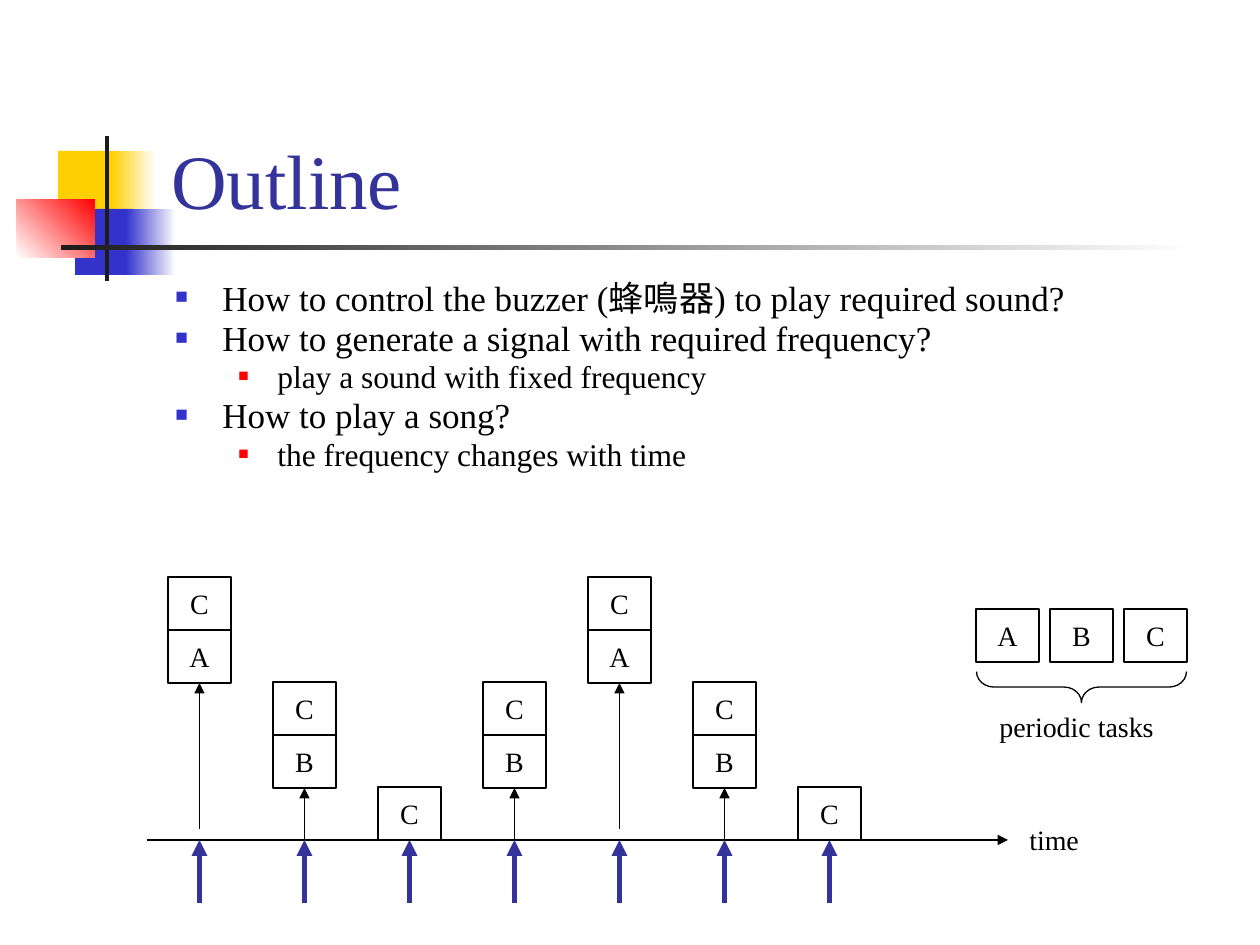
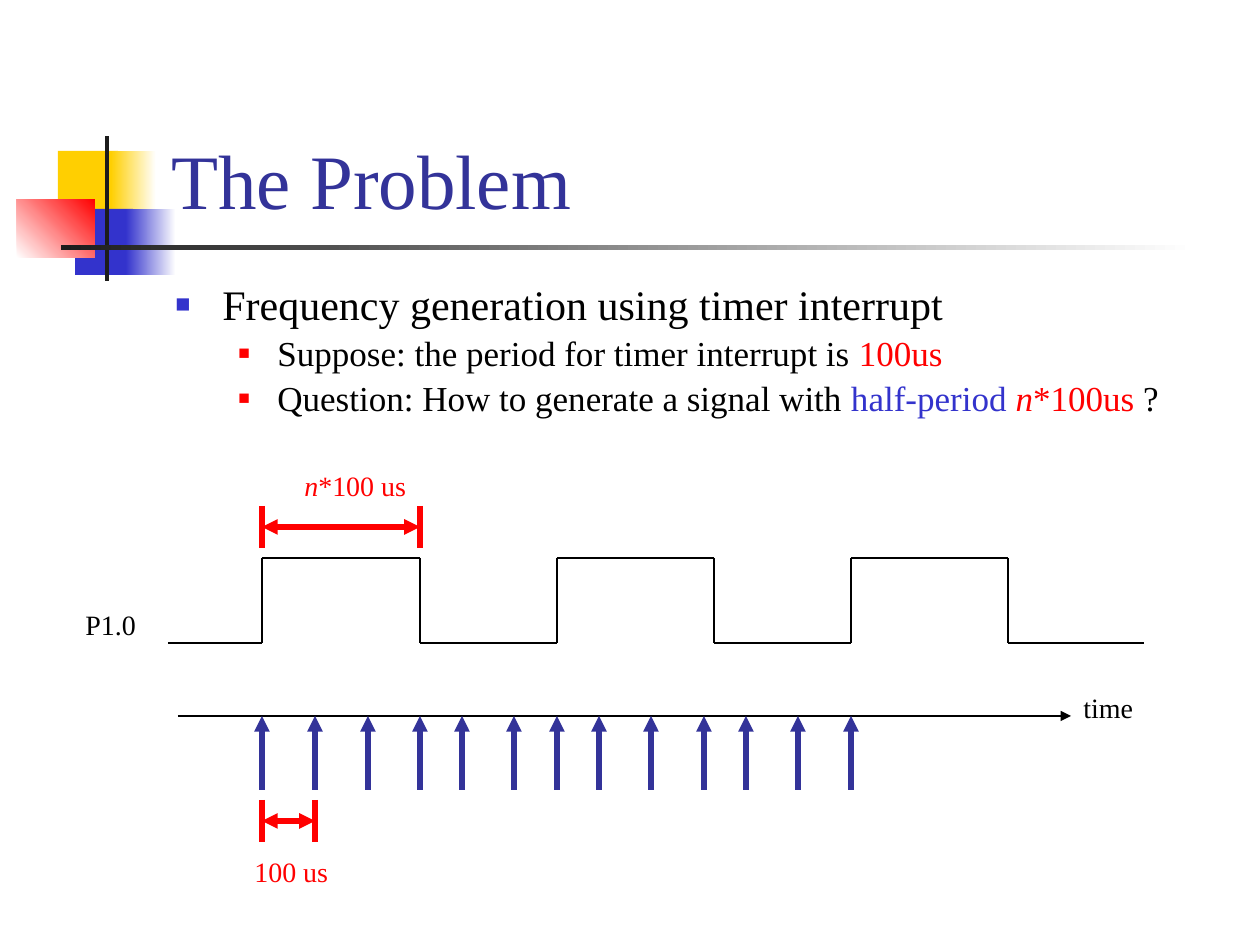
"""Build two lecture slides on periodic tasks and timer-driven frequency generation."""
from dataclasses import dataclass
from itertools import pairwise

from lxml import etree
from pptx import Presentation
from pptx.dml.color import RGBColor
from pptx.enum.shapes import MSO_CONNECTOR, MSO_SHAPE
from pptx.enum.text import MSO_ANCHOR, MSO_AUTO_SIZE, PP_ALIGN
from pptx.oxml.ns import qn
from pptx.util import Emu, Pt

RECTANGLE = MSO_SHAPE.RECTANGLE
BRACE = MSO_SHAPE.LEFT_BRACE
STRAIGHT = MSO_CONNECTOR.STRAIGHT
BOTTOM, MIDDLE = MSO_ANCHOR.BOTTOM, MSO_ANCHOR.MIDDLE
CENTER = PP_ALIGN.CENTER
GROW = MSO_AUTO_SIZE.SHAPE_TO_FIT_TEXT


@dataclass(frozen=True)
class Theme:
    font: str = "Times New Roman"
    black: str = "000000"
    white: str = "FFFFFF"
    indigo: str = "333399"
    blue: str = "3333CC"
    red: str = "FF0000"
    yellow: str = "FFCF01"
    charcoal: str = "1C1C1C"
    title_size: int = 44
    label_size: int = 16
    thin: float = 0.75
    thick: float = 3


THEME = Theme()
EMU_PER_PIXEL = 914400 / 126

DECORATION = [
    ((58, 151, 60, 66), [THEME.yellow], 0),
    ((111, 151, 45, 66), [THEME.yellow, THEME.white], 0),
    ((75, 209, 58, 66), [THEME.blue], 0),
    ((126, 209, 50, 66), [THEME.blue, THEME.white], 0),
    ((17, 199, 78, 59), [THEME.white, THEME.red], 45),
    ((105, 136, 4, 145), [THEME.charcoal], 0),
    ((61, 245, 1134, 5), [THEME.charcoal, THEME.white], 0),
]
TITLE_AREA = (159, 29, 1074, 202)
LEVELS = [
    {"margin": 47, "hang": 47, "colour": THEME.blue, "bullet": 60},
    {"margin": 102, "hang": 39, "colour": THEME.red, "bullet": 55},
]

OUTLINE = {
    "title": "Outline",
    "area": (163, 278, 1071, 289),
    "spacing": 0.8,
    "sizes": (20, 18),
    "points": [
        (0, [("How to control the buzzer (蜂鳴器) to play required sound?",)]),
        (0, [("How to generate a signal with required frequency?",)]),
        (1, [("play a sound with fixed frequency",)]),
        (0, [("How to play a song?",)]),
        (1, [("the frequency changes with time",)]),
    ],
}
PROBLEM = {
    "title": "The Problem",
    "area": (163, 278, 1071, 174),
    "spacing": 0.9,
    "sizes": (24, 20),
    "points": [
        (0, [("Frequency generation using timer interrupt",)]),
        (1, [("Suppose: the period for timer interrupt is ",), ("100us", THEME.red)]),
        (1, [("Question: How to generate a signal with ",),
             ("half-period ", THEME.blue), ("n", THEME.red, True),
             ("*100us", THEME.red), (" ?",)]),
    ],
}

SCHEDULE = ["AC", "BC", "C", "BC", "AC", "BC", "C"]
STACK_BOTTOM = {"A": 683, "B": 788, "C": 840}
STEM_START = {"A": 829, "B": 840}
FIRST_TASK, TASK_STEP = 168, 105
TASK_WIDTH, TASK_HEIGHT = 63, 53
SCHEDULE_AXIS, SCHEDULE_TICK_START = 840, 903
LEGEND = "ABC"
LEGEND_LEFT, LEGEND_TOP, LEGEND_STEP = 976, 609, 74
BRACE_AREA = (1066, 582, 31, 210)

WAVE_START, WAVE_END = 168, 1144
WAVE_EDGES = [262, 420, 557, 714, 851, 1008]
WAVE_LOW, WAVE_HIGH = 643, 558
INTERRUPTS = [262, 315, 368, 420, 462, 514, 557, 599, 651, 704, 746, 798, 851]
TIMER_AXIS, TIMER_TICK_START = 716, 790
MEASURE_HEIGHT = 42
MEASURES = [(262, 315, 800), (262, 420, 506)]

OUTLINE_LABELS = [
    ((1017, 816, 76, 47), [("time",)]),
    ((987, 703, 180, 47), [("periodic tasks",)]),
]
PROBLEM_LABELS = [
    ((1071, 684, 76, 47), [("time",)]),
    ((73, 601, 76, 47), [("P1.0",)]),
    ((242, 848, 100, 47), [("100 us", THEME.red)]),
    ((292, 462, 127, 47), [("n", THEME.red, True), ("*100 us", THEME.red)]),
]


def px(length):
    return Emu(round(length * EMU_PER_PIXEL))


def rgb(colour):
    return RGBColor.from_string(colour)


def add_spans(para, spans, size):
    for text, colour, italic in (
        (*span, *(THEME.black, False)[len(span) - 1:]) for span in spans
    ):
        span = para.add_run()
        span.text = text
        span.font.name = THEME.font
        span.font.size = Pt(size)
        span.font.color.rgb = rgb(colour)
        span.font.italic = italic


def add_text(page, area, wrap=True):
    box = page.shapes.add_textbox(*map(px, area))
    box.text_frame.word_wrap = wrap
    return box.text_frame


def add_outlined(page, kind, area):
    shape = page.shapes.add_shape(kind, *map(px, area))
    shape.shadow.inherit = False
    shape.fill.background()
    shape.line.color.rgb = rgb(THEME.black)
    shape.line.width = Pt(THEME.thin)
    return shape


def add_line(page, start, end, colour=THEME.black, width=THEME.thin, arrows=()):
    line = page.shapes.add_connector(STRAIGHT, *map(px, (*start, *end)))
    line.line.color.rgb = rgb(colour)
    line.line.width = Pt(width)
    outline = line.line._get_or_add_ln()
    for arrow in arrows:
        etree.SubElement(outline, qn(f"a:{arrow}"), type="triangle")
    etree.SubElement(line._element.spPr, qn("a:effectLst"))


def add_decoration(page):
    for area, colours, angle in DECORATION:
        block = add_outlined(page, RECTANGLE, area)
        block.line.fill.background()
        if len(colours) == 1:
            block.fill.solid()
            block.fill.fore_color.rgb = rgb(colours[0])
        else:
            block.fill.gradient()
            block.fill.gradient_angle = angle
            for stop, colour, position in zip(block.fill.gradient_stops, colours, (0, 1)):
                stop.color.rgb = rgb(colour)
                stop.position = position


def set_bullet(para, level):
    properties = para._p.get_or_add_pPr()
    properties.set("marL", str(px(level["margin"])))
    properties.set("indent", str(-px(level["hang"])))
    colour = etree.SubElement(properties, qn("a:buClr"))
    etree.SubElement(colour, qn("a:srgbClr"), val=level["colour"])
    etree.SubElement(properties, qn("a:buSzPct"), val=str(level["bullet"] * 1000))
    etree.SubElement(properties, qn("a:buFont"), typeface=THEME.font)
    etree.SubElement(properties, qn("a:buChar"), char="■")


def add_page(deck, content):
    page = deck.slides.add_slide(deck.slide_layouts[6])
    add_decoration(page)
    title = add_text(page, TITLE_AREA)
    title.vertical_anchor = BOTTOM
    add_spans(title.paragraphs[0], [(content["title"], THEME.indigo)], THEME.title_size)
    body = add_text(page, content["area"])
    for index, (depth, spans) in enumerate(content["points"]):
        para = body.add_paragraph() if index else body.paragraphs[0]
        size = content["sizes"][depth]
        para.level = depth
        para.line_spacing = content["spacing"]
        para.space_before = Pt(size * 0.2)
        set_bullet(para, LEVELS[depth])
        add_spans(para, spans, size)
    return page


def add_labels(page, labels):
    for area, spans in labels:
        frame = add_text(page, area, wrap=False)
        frame.auto_size = GROW
        add_spans(frame.paragraphs[0], spans, THEME.label_size)


def add_task(page, name, left, top):
    task = add_outlined(page, RECTANGLE, (left, top, TASK_WIDTH, TASK_HEIGHT))
    frame = task.text_frame
    frame.word_wrap = False
    frame.vertical_anchor = MIDDLE
    para = frame.paragraphs[0]
    para.alignment = CENTER
    add_spans(para, [(name,)], THEME.label_size)


def add_timeline(page, left, right, axis, ticks, tick_start):
    add_line(page, (left, axis), (right, axis), arrows=["tailEnd"])
    for tick in ticks:
        add_line(page, (tick, tick_start), (tick, axis), THEME.indigo, THEME.thick, ["tailEnd"])


def draw_schedule(page):
    lefts = [FIRST_TASK + TASK_STEP * index for index in range(len(SCHEDULE))]
    centres = [left + TASK_WIDTH / 2 for left in lefts]
    add_timeline(page, 147, 1008, SCHEDULE_AXIS, centres, SCHEDULE_TICK_START)
    for stack, left, centre in zip(SCHEDULE, lefts, centres):
        base = stack[0]
        bottom = STACK_BOTTOM[base]
        if base in STEM_START:
            add_line(page, (centre, STEM_START[base]), (centre, bottom), arrows=["tailEnd"])
        for height, name in enumerate(stack, 1):
            add_task(page, name, left, bottom - height * TASK_HEIGHT)
    for index, name in enumerate(LEGEND):
        add_task(page, name, LEGEND_LEFT + LEGEND_STEP * index, LEGEND_TOP)
    brace = add_outlined(page, BRACE, BRACE_AREA)
    brace.rotation = 270
    brace.adjustments[0] = 0.56
    brace.adjustments[1] = 0.5
    add_labels(page, OUTLINE_LABELS)


def draw_signal(page):
    add_timeline(page, 178, 1071, TIMER_AXIS, INTERRUPTS, TIMER_TICK_START)
    corners = [(WAVE_START, WAVE_LOW)]
    for index, edge in enumerate(WAVE_EDGES):
        before, after = (WAVE_HIGH, WAVE_LOW) if index % 2 else (WAVE_LOW, WAVE_HIGH)
        corners += [(edge, before), (edge, after)]
    corners.append((WAVE_END, WAVE_LOW))
    for start, end in pairwise(corners):
        add_line(page, start, end)
    for left, right, top in MEASURES:
        for edge in (left, right):
            add_line(page, (edge, top), (edge, top + MEASURE_HEIGHT), THEME.red, THEME.thick)
        middle = top + MEASURE_HEIGHT / 2
        add_line(page, (left, middle), (right, middle), THEME.red, THEME.thick,
                 ["headEnd", "tailEnd"])
    add_labels(page, PROBLEM_LABELS)


deck = Presentation()
deck.slide_width, deck.slide_height = px(1260), px(945)
draw_schedule(add_page(deck, OUTLINE))
draw_signal(add_page(deck, PROBLEM))
deck.save("out.pptx")
